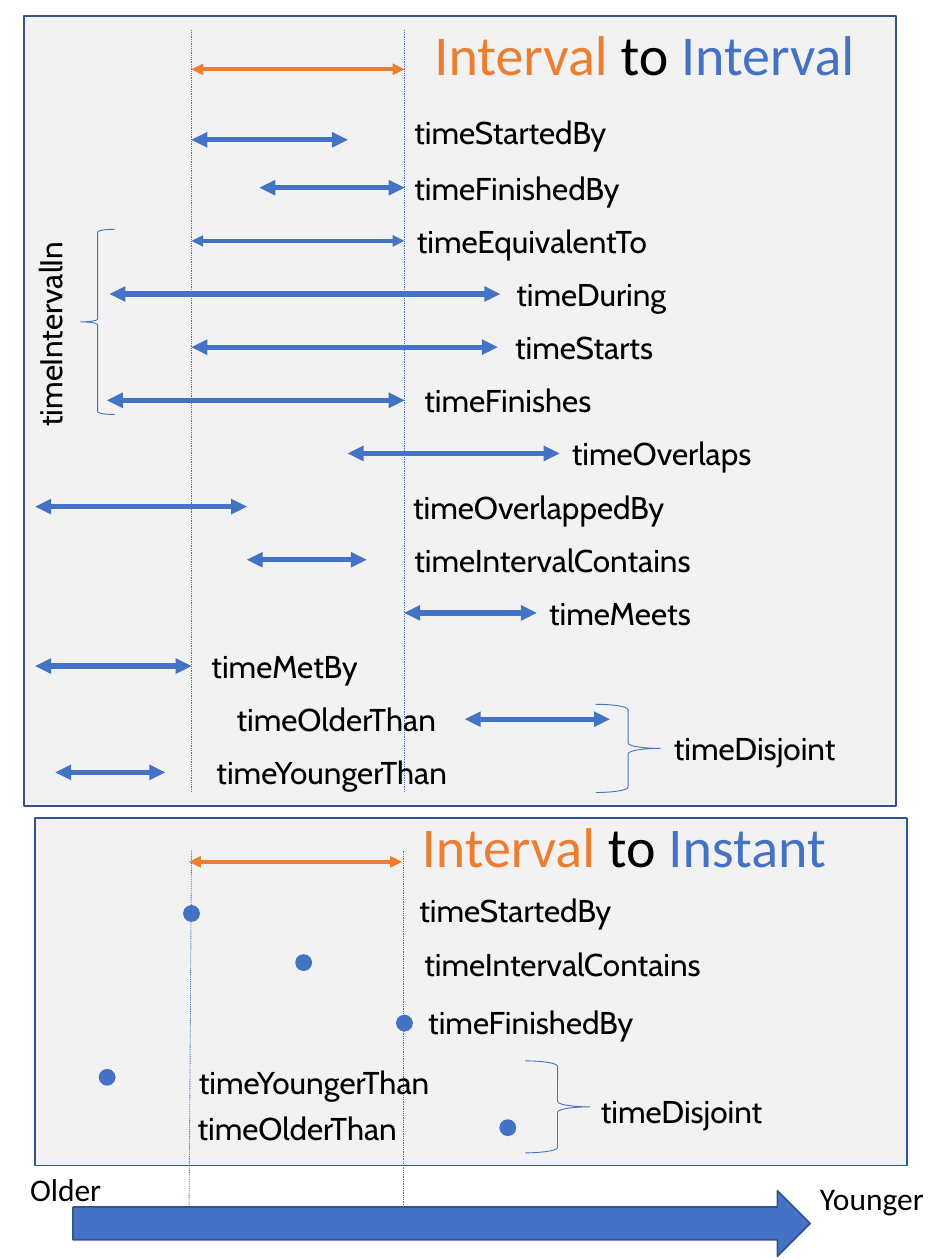
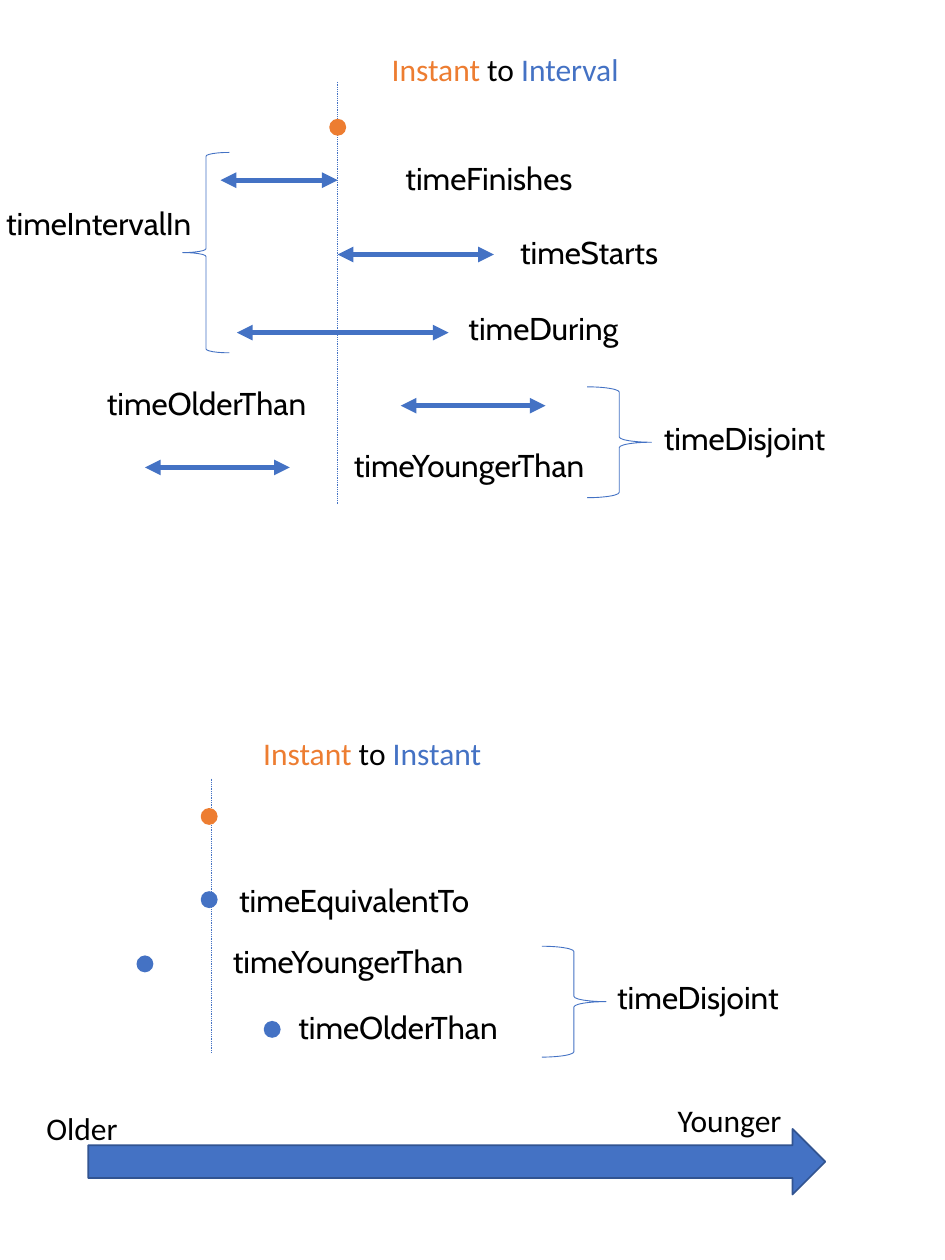
from lxml.etree import SubElement
from pptx import Presentation
from pptx.dml.color import RGBColor
from pptx.enum.dml import MSO_LINE
from pptx.enum.shapes import MSO_CONNECTOR, MSO_SHAPE
from pptx.enum.text import MSO_AUTO_SIZE
from pptx.oxml.ns import qn
from pptx.util import Inches, Pt

ORANGE, BLUE, DARK_BLUE = "ED7D31", "4472C4", "325491"
BLACK, PANEL = "000000", "F2F2F2"
HEADING_FONT, LABEL_FONT = "Calibri", "Cabin"
TEXT_H, DOT = 0.4, 0.12

TEXT_WIDTHS = {
    "timeStartedBy": 1.77, "timeFinishedBy": 1.88, "timeEquivalentTo": 2.1,
    "timeDuring": 1.46, "timeStarts": 1.33, "timeFinishes": 1.57,
    "timeOverlaps": 1.67, "timeOverlappedBy": 2.26, "timeIntervalContains": 2.5,
    "timeMeets": 1.38, "timeMetBy": 1.41, "timeOlderThan": 1.86,
    "timeYoungerThan": 2.16, "timeDisjoint": 1.54, "timeIntervalIn": 1.75,
    "Older": 0.77, "Younger": 1.04,
}

# Evenly spaced rows: label, label left, interval start, interval end
INTERVAL_ROWS = [
    ("timeFinishedBy", 3.19, 2.06, 3.21),
    ("timeEquivalentTo", 3.21, 1.52, 3.21),
    ("timeDuring", 4, 0.87, 3.97),
    ("timeStarts", 3.99, 1.52, 3.95),
    ("timeFinishes", 3.27, 0.85, 3.21),
    ("timeOverlaps", 4.44, 2.76, 4.44),
    ("timeOverlappedBy", 3.18, 0.28, 1.96),
    ("timeIntervalContains", 3.19, 1.96, 2.91),
    ("timeMeets", 4.26, 3.21, 4.26),
    ("timeMetBy", 1.58, 0.28, 1.52),
    ("timeOlderThan", 1.78, 3.69, 4.84),
    ("timeYoungerThan", 1.62, 0.44, 1.31),
]
FIRST_ROW, LAST_ROW = 1.49, 6.13
ROW_PITCH = (LAST_ROW - FIRST_ROW) / (len(INTERVAL_ROWS) - 1)

# panels: left, top, width, height       guides: x1, y1, x2, y2
# titles: left, top, width, height, size, first, second
# references and intervals: start, end, y       dots: left, top, colour
# labels: text, left, top       braces: opens left, left, top, width, height
# age: arrow left, top, then left and top of "Older" and of "Younger"
SLIDES = [
    {
        "panels": [(0.19, 0.13, 6.92, 6.27), (0.28, 6.49, 6.92, 2.76)],
        "guides": [(1.52, 0.24, 1.52, 6.28), (3.21, 0.24, 3.21, 6.28),
                   (1.52, 6.75, 1.5, 9.69), (3.2, 6.75, 3.2, 9.69)],
        "titles": [(3.35, 0.11, 3.57, 0.64, 32, "Interval", "Interval"),
                   (3.25, 6.39, 3.44, 0.64, 32, "Interval", "Instant")],
        "references": [(1.52, 3.21, 0.55), (1.5, 3.19, 6.84)],
        "rows": INTERVAL_ROWS,
        "intervals": [(1.52, 2.76, 1.11)],
        "dots": [(1.46, 7.19, BLUE), (2.35, 7.58, BLUE), (3.15, 8.06, BLUE),
                 (0.79, 8.49, BLUE), (3.97, 8.89, BLUE)],
        "labels": [("timeStartedBy", 3.19, 0.85), ("timeDisjoint", 5.25, 5.74),
                   ("timeStartedBy", 3.23, 7.02),
                   ("timeIntervalContains", 3.27, 7.45),
                   ("timeFinishedBy", 3.3, 7.91),
                   ("timeYoungerThan", 1.48, 8.39),
                   ("timeOlderThan", 1.47, 8.75), ("timeDisjoint", 4.67, 8.62)],
        "upright": [("timeIntervalIn", -0.48, 2.41)],
        "braces": [(True, 0.64, 1.82, 0.27, 1.47),
                   (False, 4.73, 5.59, 0.51, 0.7),
                   (False, 4.17, 8.42, 0.51, 0.73)],
        "age": (0.58, 9.45, 0.14, 9.24, 6.41, 9.31),
    },
    {
        "guides": [(2.68, 0.65, 2.68, 4), (1.68, 6.18, 1.68, 8.35)],
        "titles": [(3.01, 0.35, 2.02, TEXT_H, 18, "Instant", "Interval"),
                   (1.99, 5.78, 1.95, TEXT_H, 18, "Instant", "Instant")],
        "intervals": [(1.75, 2.68, 1.43), (2.68, 3.92, 2.02),
                      (1.88, 3.56, 2.64), (3.18, 4.33, 3.22),
                      (1.15, 2.3, 3.71)],
        "dots": [(2.62, 0.95, ORANGE), (1.6, 6.42, ORANGE), (1.6, 7.08, BLUE),
                 (1.09, 7.59, BLUE), (2.1, 8.11, BLUE)],
        "labels": [("timeFinishes", 3.12, 1.21), ("timeStarts", 4.03, 1.8),
                   ("timeIntervalIn", -0.05, 1.57), ("timeDuring", 3.62, 2.4),
                   ("timeOlderThan", 0.75, 3), ("timeYoungerThan", 2.71, 3.49),
                   ("timeDisjoint", 5.17, 3.28),
                   ("timeEquivalentTo", 1.8, 6.94),
                   ("timeYoungerThan", 1.75, 7.43),
                   ("timeOlderThan", 2.27, 7.95), ("timeDisjoint", 4.8, 7.71)],
        "braces": [(True, 1.45, 1.21, 0.37, 1.59),
                   (False, 4.66, 3.07, 0.51, 0.88),
                   (False, 4.3, 7.51, 0.51, 0.88)],
        "age": (0.7, 8.96, 0.27, 8.75, 5.28, 8.69),
    },
]


def rgb(color):
    return RGBColor.from_string(color)


def add_shape(s, kind, left, top, width, height, fill, line, weight=1):
    sp = s.shapes.add_shape(kind, *map(Inches, (left, top, width, height)))
    sp.shadow.inherit = False
    if fill:
        sp.fill.solid()
        sp.fill.fore_color.rgb = rgb(fill)
    else:
        sp.fill.background()
    sp.line.color.rgb = rgb(line)
    sp.line.width = Pt(weight)


def add_line(s, x1, y1, x2, y2, color, weight):
    line = s.shapes.add_connector(MSO_CONNECTOR.STRAIGHT,
                                  *map(Inches, (x1, y1, x2, y2)))
    line.line.color.rgb = rgb(color)
    line.line.width = Pt(weight)
    SubElement(line._element.spPr, qn("a:effectLst"))
    return line


def add_guide(s, x1, y1, x2, y2):
    guide = add_line(s, x1, y1, x2, y2, BLUE, 0.5)
    guide.line.dash_style = MSO_LINE.ROUND_DOT


def add_interval(s, start, end, y, color=BLUE, weight=3):
    """Draw a horizontal line with an arrowhead at both ends."""
    ln = add_line(s, start, y, end, y, color, weight).line._get_or_add_ln()
    for tag in ("a:headEnd", "a:tailEnd"):
        SubElement(ln, qn(tag), type="triangle")


def add_text(s, left, top, width, height, size, font, runs):
    """Add one line of text from (text, colour) runs."""
    box = s.shapes.add_textbox(*map(Inches, (left, top, width, height)))
    tf = box.text_frame
    tf.word_wrap = False
    tf.auto_size = MSO_AUTO_SIZE.SHAPE_TO_FIT_TEXT
    p = tf.paragraphs[0]
    p.font.size = Pt(size)
    p.font.name = font
    for text, color in runs:
        r = p.add_run()
        r.text = text
        r.font.color.rgb = rgb(color)
    return box


def add_label(s, text, left, top, font=LABEL_FONT):
    return add_text(s, left, top, TEXT_WIDTHS[text], TEXT_H, 18, font,
                    [(text, BLACK)])


def add_age_arrow(s, left, top, older_x, older_y, younger_x, younger_y):
    add_shape(s, MSO_SHAPE.RIGHT_ARROW, left, top, 5.85, 0.52, BLUE, DARK_BLUE)
    add_label(s, "Older", older_x, older_y, HEADING_FONT)
    add_label(s, "Younger", younger_x, younger_y, HEADING_FONT)


def draw_slide(s, content):
    for panel in content.get("panels", []):
        add_shape(s, MSO_SHAPE.RECTANGLE, *panel, PANEL, DARK_BLUE)
    for guide in content["guides"]:
        add_guide(s, *guide)
    for reference in content.get("references", []):
        add_interval(s, *reference, ORANGE, 2.25)
    for interval in content["intervals"]:
        add_interval(s, *interval)
    for i, (text, left, start, end) in enumerate(content.get("rows", [])):
        y = FIRST_ROW + i * ROW_PITCH
        weight = 2.25 if text == "timeEquivalentTo" else 3
        add_interval(s, start, end, y, weight=weight)
        add_label(s, text, left, y - TEXT_H / 2)
    for left, top, color in content["dots"]:
        add_shape(s, MSO_SHAPE.FLOWCHART_CONNECTOR, left, top, DOT, DOT,
                  color, color)
    for opens_left, *place in content["braces"]:
        kind = MSO_SHAPE.LEFT_BRACE if opens_left else MSO_SHAPE.RIGHT_BRACE
        add_shape(s, kind, *place, None, BLUE, 0.5)
    for *place, size, first, second in content["titles"]:
        add_text(s, *place, size, HEADING_FONT,
                 [(first, ORANGE), (" to ", BLACK), (second, BLUE)])
    for label in content["labels"]:
        add_label(s, *label)
    for label in content.get("upright", []):
        add_label(s, *label).rotation = 270
    add_age_arrow(s, *content["age"])


def main():
    prs = Presentation()
    prs.slide_width, prs.slide_height = Inches(7.5), Inches(10)
    for content in SLIDES:
        draw_slide(prs.slides.add_slide(prs.slide_layouts[6]), content)
    prs.save("out.pptx")


if __name__ == "__main__":
    main()
